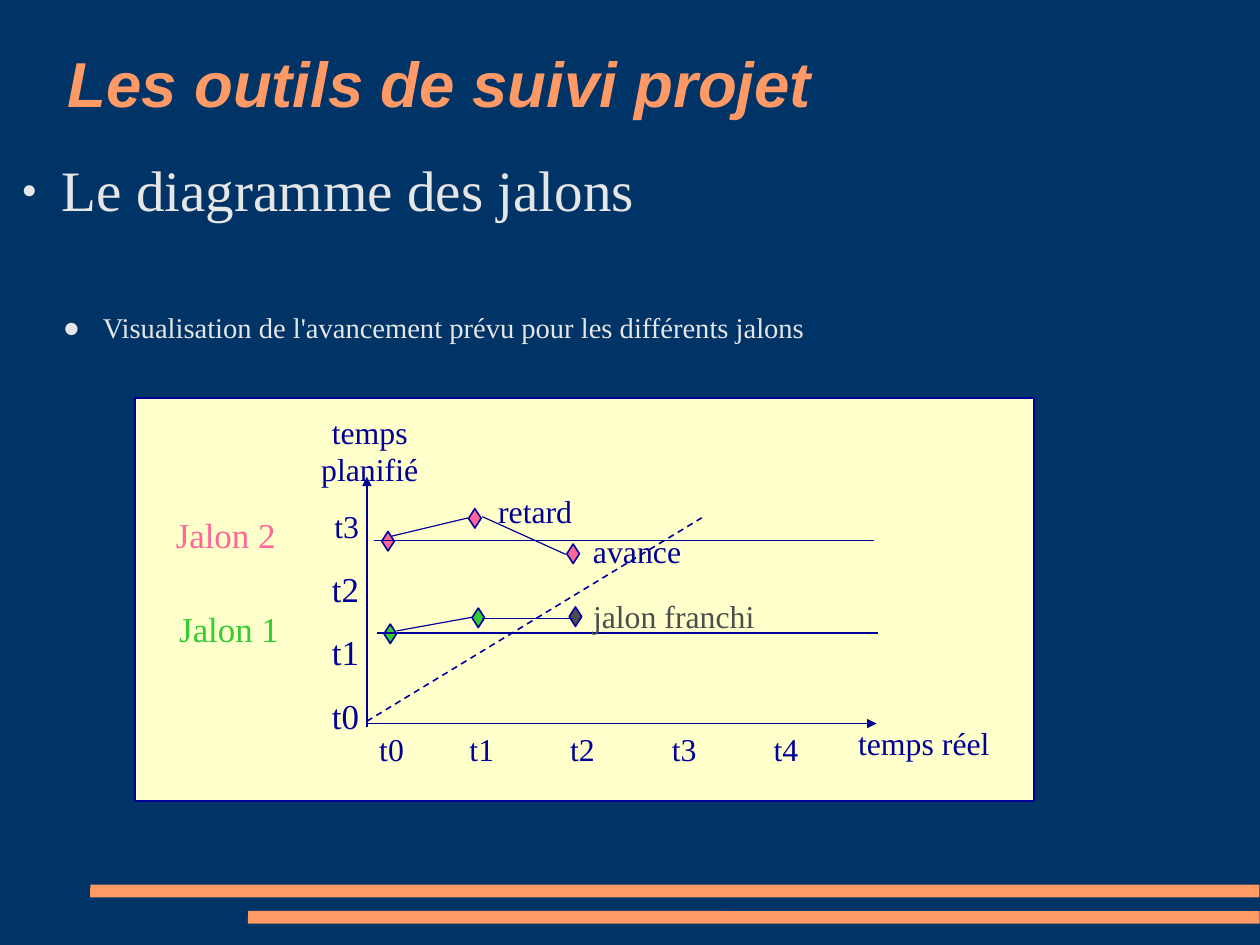
from lxml import etree
from pptx import Presentation
from pptx.dml.color import RGBColor
from pptx.enum.dml import MSO_LINE
from pptx.enum.shapes import MSO_CONNECTOR, MSO_SHAPE
from pptx.enum.text import MSO_ANCHOR, PP_ALIGN
from pptx.oxml.ns import qn
from pptx.util import Emu, Inches, Pt

NIGHT = RGBColor(0x00, 0x33, 0x66)
ORANGE = RGBColor(0xFF, 0x99, 0x66)
PALE = RGBColor(0xE6, 0xE6, 0xE6)
CREAM = RGBColor(0xFF, 0xFF, 0xCC)
NAVY = RGBColor(0x00, 0x00, 0x99)
PINK = RGBColor(0xFF, 0x66, 0x99)
GREEN = RGBColor(0x33, 0xCC, 0x33)
GREY = RGBColor(0x4D, 0x4D, 0x4D)

LEFT, CENTER, RIGHT = PP_ALIGN.LEFT, PP_ALIGN.CENTER, PP_ALIGN.RIGHT
SERIF = "Times New Roman"

TITLE = ("Les outils de suivi projet", (0.59, 0.06, 7.76, 1.38))
POINTS = [
    ("Le diagramme des jalons", (0.07, 1.39, 10.95, 0.61), 36, 45),
    ("Visualisation de l'avancement prévu pour les différents jalons",
     (0.43, 2.73, 10.6, 0.61), 18, 100),
]
FOOTER_BARS = [(0.79, 7.74, 10.23, 0.11), (2.17, 7.97, 8.85, 0.11)]
PANEL = (1.18, 3.48, 7.87, 3.53)

AXES = [((3.21, 6.36), (3.21, 4.17)), ((3.21, 6.33), (7.67, 6.33))]
DIAGONAL = ((3.21, 6.31), (6.14, 4.53))
REAL_TIMES = [("t0", 3.22, 0.6), ("t1", 4.01, 0.6), ("t2", 4.89, 0.56),
              ("t3", 5.78, 0.52), ("t4", 6.67, 0.58)]
PLANNED_TIMES = [("t0", 6.05, 0.57, 0.45, 22), ("t1", 5.49, 0.57, 0.45, 22),
                 ("t2", 4.94, 0.82, 0.45, 22), ("t3", 4.41, 0.62, 0.42, 20)]
CAPTIONS = [
    ("temps planifié", (2.49, 3.59, 1.49, 0.74), 20, NAVY, CENTER),
    ("temps réel", (7.41, 6.31, 1.54, 0.42), 20, NAVY, LEFT),
    ("Jalon 2", (1.44, 4.47, 1.24, 0.45), 22, PINK, LEFT),
    ("Jalon 1", (1.47, 5.29, 1.2, 0.45), 22, GREEN, LEFT),
    ("avance", (5.09, 4.63, 1.76, 0.42), 20, NAVY, LEFT),
    ("retard", (4.26, 4.28, 1.76, 0.42), 20, NAVY, LEFT),
    ("jalon franchi", (5.09, 5.2, 1.75, 0.42), 20, GREY, LEFT),
]
MARKS = [
    (3.34, 4.65, PINK), (4.1, 4.45, PINK), (4.96, 4.76, PINK),
    (3.36, 5.46, GREEN), (4.13, 5.32, GREEN), (4.98, 5.31, GREY),
]
BASELINES = [((3.27, 4.73), (7.65, 4.73)), ((3.3, 5.54), (7.68, 5.54))]
FORECASTS = [
    ((3.43, 4.69), (4.1, 4.53)), ((4.22, 4.52), (4.95, 4.85)),
    ((3.47, 5.52), (4.13, 5.4)), ((4.22, 5.41), (5.01, 5.41)),
]

SLIDE_W, SLIDE_H = Emu(10080625), Emu(7559675)
MARK_W, MARK_H = 0.11, 0.17
REAL_TOP, REAL_H = 6.36, 0.42
PLANNED_RIGHT = 3.24


def add_figure(slide, kind, box, fill, outline=None):
    figure = slide.shapes.add_shape(kind, *map(Inches, box))
    figure.shadow.inherit = False
    figure.fill.solid()
    figure.fill.fore_color.rgb = fill
    if outline is None:
        figure.line.fill.background()
    else:
        figure.line.color.rgb = outline
        figure.line.width = Pt(1)
    return figure


def add_stroke(slide, ends, width=1, dashed=False, arrow=False):
    start, end = ends
    stroke = slide.shapes.add_connector(
        MSO_CONNECTOR.STRAIGHT, *map(Inches, start + end))
    stroke.line.color.rgb = NAVY
    stroke.line.width = Pt(width)
    if dashed:
        stroke.line.dash_style = MSO_LINE.DASH
    props = stroke._element.spPr
    if arrow:
        etree.SubElement(props.get_or_add_ln(), qn("a:tailEnd"), type="triangle")
    etree.SubElement(props, qn("a:effectLst"))


def add_text(slide, words, box, size, color, align=LEFT, margins=(0.1, 0.05),
             anchor=MSO_ANCHOR.TOP, spacing=0.95, **extra):
    frame = slide.shapes.add_textbox(*map(Inches, box)).text_frame
    side, edge = map(Inches, margins)
    layout = {"word_wrap": True, "vertical_anchor": anchor,
              "margin_left": side, "margin_right": side,
              "margin_top": edge, "margin_bottom": edge}
    for name, value in layout.items():
        setattr(frame, name, value)
    paragraph = frame.paragraphs[0]
    paragraph.alignment = align
    paragraph.line_spacing = spacing
    run = paragraph.add_run()
    run.text = words
    for name, value in {"name": SERIF, "size": Pt(size), **extra}.items():
        setattr(run.font, name, value)
    run.font.color.rgb = color
    return paragraph


def add_bullet(paragraph, percent):
    props = paragraph._p.get_or_add_pPr()
    props.set("marL", str(Inches(0.47)))
    props.set("indent", str(Inches(-0.35)))
    tint = etree.SubElement(props, qn("a:buClr"))
    etree.SubElement(tint, qn("a:srgbClr"), val=str(PALE))
    etree.SubElement(props, qn("a:buSzPct"), val=str(percent * 1000))
    etree.SubElement(props, qn("a:buFont"), typeface=SERIF)
    etree.SubElement(props, qn("a:buChar"), char="●")


def main():
    deck = Presentation()
    deck.slide_width, deck.slide_height = SLIDE_W, SLIDE_H
    slide = deck.slides.add_slide(deck.slide_layouts[6])
    slide.background.fill.solid()
    slide.background.fill.fore_color.rgb = NIGHT

    for box in FOOTER_BARS:
        bar = add_figure(slide, MSO_SHAPE.ROUNDED_RECTANGLE, box, ORANGE)
        bar.adjustments[0] = 0.02

    words, box = TITLE
    add_text(slide, words, box, 40, ORANGE, margins=(0, 0), anchor=MSO_ANCHOR.MIDDLE,
             spacing=0.93, name="Arial", bold=True, italic=True)
    for words, box, size, percent in POINTS:
        add_bullet(add_text(slide, words, box, size, PALE, margins=(0, 0)), percent)

    add_figure(slide, MSO_SHAPE.RECTANGLE, PANEL, CREAM, NAVY)
    for axis in AXES:
        add_stroke(slide, axis, arrow=True)
    for words, left, width in REAL_TIMES:
        add_text(slide, words, (left, REAL_TOP, width, REAL_H), 20, NAVY)
    for words, top, width, height, size in PLANNED_TIMES:
        box = (PLANNED_RIGHT - width, top, width, height)
        add_text(slide, words, box, size, NAVY, RIGHT)

    for left, top, fill in MARKS:
        add_figure(slide, MSO_SHAPE.DIAMOND, (left, top, MARK_W, MARK_H), fill, NAVY)
    for baseline in BASELINES:
        add_stroke(slide, baseline)
    add_stroke(slide, DIAGONAL, dashed=True)
    for forecast in FORECASTS:
        add_stroke(slide, forecast, width=0.75)
    for caption in CAPTIONS:
        add_text(slide, *caption)

    deck.save("out.pptx")


if __name__ == "__main__":
    main()
